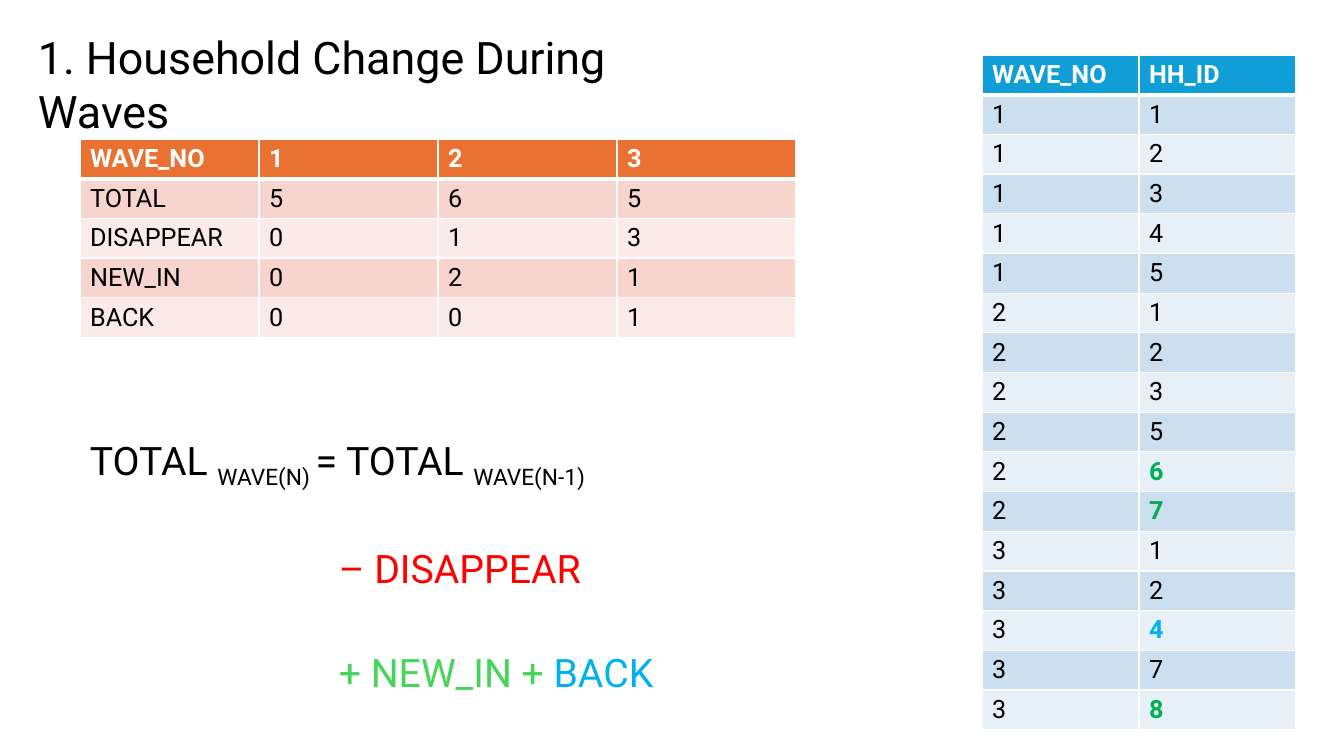
import pptx
import pptx.dml.color
import pptx.oxml
import pptx.oxml.ns
import pptx.util

PX = 914400 / 100.8
FONT = "Roboto"
BLACK, WHITE, RED = "000000", "FFFFFF", "FF0000"
LIME, GREEN, BLUE = "47D45A", "00B050", "00B0F0"
WAVE_BANDS = ("0F9ED5", "CCDFEF", "E7F0F7")
CHANGE_BANDS = ("E97132", "F7D5CE", "FBEBE8")

CHANGES = [
    ("WAVE_NO", "1", "2", "3"),
    ("TOTAL", "5", "6", "5"),
    ("DISAPPEAR", "0", "1", "3"),
    ("NEW_IN", "0", "2", "1"),
    ("BACK", "0", "0", "1"),
]
WAVES = {"1": "12345", "2": "123567", "3": "12478"}
HIGHLIGHTS = {("2", "6"): GREEN, ("2", "7"): GREEN,
              ("3", "4"): BLUE, ("3", "8"): GREEN}


def px(length):
    """Turn a length in px into EMU."""
    return pptx.util.Emu(round(length * PX))


def rgb(hex_color):
    """Turn a hex string into a colour."""
    return pptx.dml.color.RGBColor.from_string(hex_color)


def style_run(run, size, color, bold=False):
    """Set the font, size, colour and weight of a run."""
    run.font.name = FONT
    run.font.size = pptx.util.Pt(size)
    run.font.color.rgb = rgb(color)
    run.font.bold = bold


def add_borders(cell, bottom):
    """Draw white cell borders, with the bottom one at a given width in points."""
    properties = cell._tc.get_or_add_tcPr()
    sides = (("lnL", 1), ("lnR", 1), ("lnT", 1), ("lnB", bottom))
    for position, (side, points) in enumerate(sides):
        border = pptx.oxml.parse_xml(
            f'<a:{side} {pptx.oxml.ns.nsdecls("a")} w="{pptx.util.Pt(points)}">'
            f'<a:solidFill><a:srgbClr val="{WHITE}"/></a:solidFill></a:{side}>')
        properties.insert(position, border)


def add_banded_table(slide, left, top, column_width, row_height, rows, bands, highlights):
    """Add a table with a coloured header, two row tints and highlighted values."""
    columns = len(rows[0])
    table = slide.shapes.add_table(
        len(rows), columns, px(left), px(top),
        px(column_width * columns), px(row_height * len(rows))).table
    for column in table.columns:
        column.width = px(column_width)
    for r, values in enumerate(rows):
        table.rows[r].height = px(row_height)
        band = bands[0] if r == 0 else bands[2 - r % 2]
        for c, value in enumerate(values):
            cell = table.cell(r, c)
            cell.fill.solid()
            cell.fill.fore_color.rgb = rgb(band)
            add_borders(cell, 3 if r == 0 else 1)
            cell.text_frame.text = value
            highlight = highlights.get(values) if c == columns - 1 else None
            color = WHITE if r == 0 else highlight or BLACK
            style_run(cell.text_frame.paragraphs[0].runs[0], 18, color,
                      r == 0 or highlight is not None)


def add_text_frame(slide, left, top, width, height):
    """Add a wrapping text box and return its text frame."""
    frame = slide.shapes.add_textbox(px(left), px(top), px(width), px(height)).text_frame
    frame.word_wrap = True
    return frame


def add_title(slide, title):
    """Add the slide title."""
    frame = add_text_frame(slide, 28, 25, 718, 65)
    frame.text = title
    style_run(frame.paragraphs[0].runs[0], 32, BLACK)


def add_formula(slide, lines):
    """Add double-spaced lines of (text, colour, subscript) parts with indents."""
    frame = add_text_frame(slide, 80, 378, 607, 282)
    for index, (indent, space_before, parts) in enumerate(lines):
        paragraph = frame.add_paragraph() if index else frame.paragraphs[0]
        paragraph.line_spacing = 2.0
        paragraph.space_before = pptx.util.Pt(space_before)
        paragraph._p.get_or_add_pPr().set("marL", str(px(indent)))
        for text, color, subscript in parts:
            run = paragraph.add_run()
            run.text = text
            style_run(run, 28, color)
            if subscript:
                run.font._element.set("baseline", "-25000")


def main():
    """Build the slide and save it."""
    deck = pptx.Presentation()
    deck.slide_width, deck.slide_height = px(1344), px(756)
    slide = deck.slides.add_slide(deck.slide_layouts[6])
    households = [("WAVE_NO", "HH_ID")]
    households += [(wave, hh) for wave, ids in WAVES.items() for hh in ids]
    add_banded_table(slide, 982, 55, 157, 36, households, WAVE_BANDS, HIGHLIGHTS)
    add_banded_table(slide, 80, 139, 179, 36, CHANGES, CHANGE_BANDS, {})
    add_formula(slide, [
        (0, 0, [("TOTAL ", BLACK, False), ("WAVE(N) ", BLACK, True),
                ("= TOTAL ", BLACK, False), ("WAVE(N-1)", BLACK, True)]),
        (249, 5, [("– DISAPPEAR", RED, False)]),
        (249, 7, [("+ NEW_IN + ", LIME, False), ("BACK", BLUE, False)]),
    ])
    add_title(slide, "1. Household Change During Waves")
    deck.save("out.pptx")


if __name__ == "__main__":
    main()
